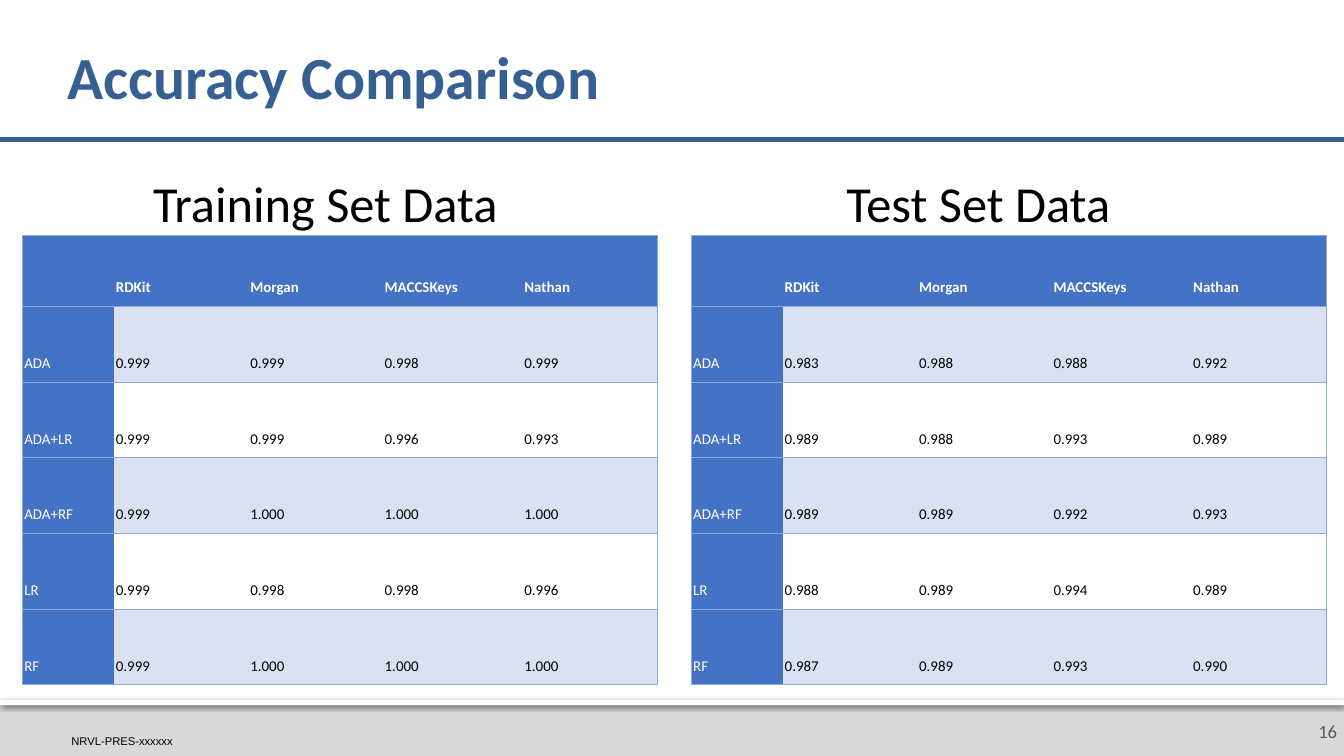
import pptx
import pptx.util
import pptx.dml.color
import pptx.enum.shapes
import pptx.enum.text
import pptx.oxml
import pptx.oxml.ns

Cm = pptx.util.Cm
Pt = pptx.util.Pt
Align = pptx.enum.text.PP_ALIGN
Anchor = pptx.enum.text.MSO_ANCHOR
Rect = pptx.enum.shapes.MSO_SHAPE.RECTANGLE
NS = pptx.oxml.ns.nsdecls("a")
BLUE, HEAD, BAND, EDGE = "366092", "4472C4", "D9E1F2", "8EA9DB"


def ink(code):
    return pptx.dml.color.RGBColor.from_string(code)


def write(text, box, size, color, insets, anchor, align=Align.LEFT, face="Calibri"):
    """Add a one-line text box; box and insets are in centimetres."""
    frame = slide.shapes.add_textbox(*map(Cm, box)).text_frame
    frame.word_wrap = True
    frame.vertical_anchor = anchor
    frame.margin_left, frame.margin_top, frame.margin_right, frame.margin_bottom = map(Cm, insets)
    line = frame.paragraphs[0]
    line.text = text
    line.alignment = align
    line.font.name = face
    line.font.size = Pt(size)
    line.font.color.rgb = ink(color)
    return line


deck = pptx.Presentation()
deck.slide_width, deck.slide_height = Cm(25.4), Cm(14.29)
slide = deck.slides.add_slide(deck.slide_layouts[6])

# Footer and title rule
for height, color in ((1.06, "D8D8D8"), (0.1, "FFFFFF")):
    bar = slide.shapes.add_shape(Rect, 0, Cm(13.23), Cm(25.4), Cm(height))
    bar.shadow.inherit = False
    bar.fill.solid()
    bar.fill.fore_color.rgb = ink(color)
    bar.line.fill.background()
glow = bar.element.spPr.find(pptx.oxml.ns.qn("a:effectLst"))
glow.append(pptx.oxml.parse_xml(
    f'<a:outerShdw {NS} blurRad="31750" dist="10160" dir="5400000" rotWithShape="0">'
    '<a:srgbClr val="000000"><a:alpha val="60000"/></a:srgbClr></a:outerShdw>'))

write("16", (24.51, 13.34, 0.89, 0.94), 10, "595959", (0.25, 0.13, 0.13, 0.13),
      Anchor.MIDDLE, Align.RIGHT)
write("NRVL-PRES-xxxxxx", (1.35, 13.94, 2.44, 0.2), 6, "000000", (0, 0, 0, 0),
      Anchor.BOTTOM, face="Arial")

rule = slide.shapes.add_connector(pptx.enum.shapes.MSO_CONNECTOR.STRAIGHT,
                                  Cm(-0.03), Cm(2.64), Cm(25.4), Cm(2.64))
rule.line.color.rgb = ink(BLUE)
rule.line.width = Pt(3)
rule.element.spPr.append(pptx.oxml.parse_xml(f"<a:effectLst {NS}/>"))

title = write("Accuracy Comparison", (1.27, 0.46, 22.86, 2.11), 32, BLUE,
              (0, 0.13, 0.13, 0.13), Anchor.MIDDLE)
title.font.bold = True
title.line_spacing = 0.9

# Tables
keys = ["", "RDKit", "Morgan", "MACCSKeys", "Nathan"]
models = ["ADA", "ADA+LR", "ADA+RF", "LR", "RF"]
widths = [1.73, 2.54, 2.54, 2.64, 2.54]
heights = [1.34] + [1.43] * 5
test = [
    "0.983 0.988 0.988 0.992",
    "0.989 0.988 0.993 0.989",
    "0.989 0.989 0.992 0.993",
    "0.988 0.989 0.994 0.989",
    "0.987 0.989 0.993 0.990",
]
train = [
    "0.999 0.999 0.998 0.999",
    "0.999 0.999 0.996 0.993",
    "0.999 1.000 1.000 1.000",
    "0.999 0.998 0.998 0.996",
    "0.999 1.000 1.000 1.000",
]

for name, left, start, scores in (("Test Set Data", 13.79, 13.07, test),
                                  ("Training Set Data", 1.45, 0.43, train)):
    write(name, (left, 3, 9.4, 1.35), 27, "000000", [0.25] * 4, Anchor.TOP, Align.CENTER)
    rows = [keys] + [[model] + score.split() for model, score in zip(models, scores)]
    frame = slide.shapes.add_table(len(rows), len(keys), Cm(start), Cm(4.45),
                                   Cm(sum(widths)), Cm(sum(heights)))
    # Plain table style, without grid lines
    style = frame.element.find(".//" + pptx.oxml.ns.qn("a:tableStyleId"))
    style.text = "{2D5ABB26-0587-4C30-8999-92F81FD0307C}"
    table = frame.table
    for column, width in zip(table.columns, widths):
        column.width = Cm(width)
    for row, height in zip(table.rows, heights):
        row.height = Cm(height)
    for r, row in enumerate(rows):
        for c, text in enumerate(row):
            cell = table.cell(r, c)
            label = r == 0 or c == 0
            cell.vertical_anchor = Anchor.BOTTOM
            cell.margin_left = cell.margin_top = cell.margin_right = Cm(0.03)
            cell.margin_bottom = Cm(0.18)
            line = cell.text_frame.paragraphs[0]
            line.text = text
            line.font.name = "Calibri"
            line.font.size = Pt(8)
            line.font.bold = r == 0
            line.font.color.rgb = ink("FFFFFF" if label else "000000")
            if not label:
                line.line_spacing = 1.15
            if label or r % 2:
                cell.fill.solid()
                cell.fill.fore_color.rgb = ink(HEAD if label else BAND)
            else:
                cell.fill.background()
            sides = ["L"] * (c == 0) + ["R"] * (c == len(keys) - 1) + ["T", "B"]
            for place, side in enumerate(sides):
                cell._tc.tcPr.insert(place, pptx.oxml.parse_xml(
                    f'<a:ln{side} {NS} w="6350"><a:solidFill><a:srgbClr val="{EDGE}"/>'
                    f'</a:solidFill></a:ln{side}>'))

deck.save("out.pptx")
